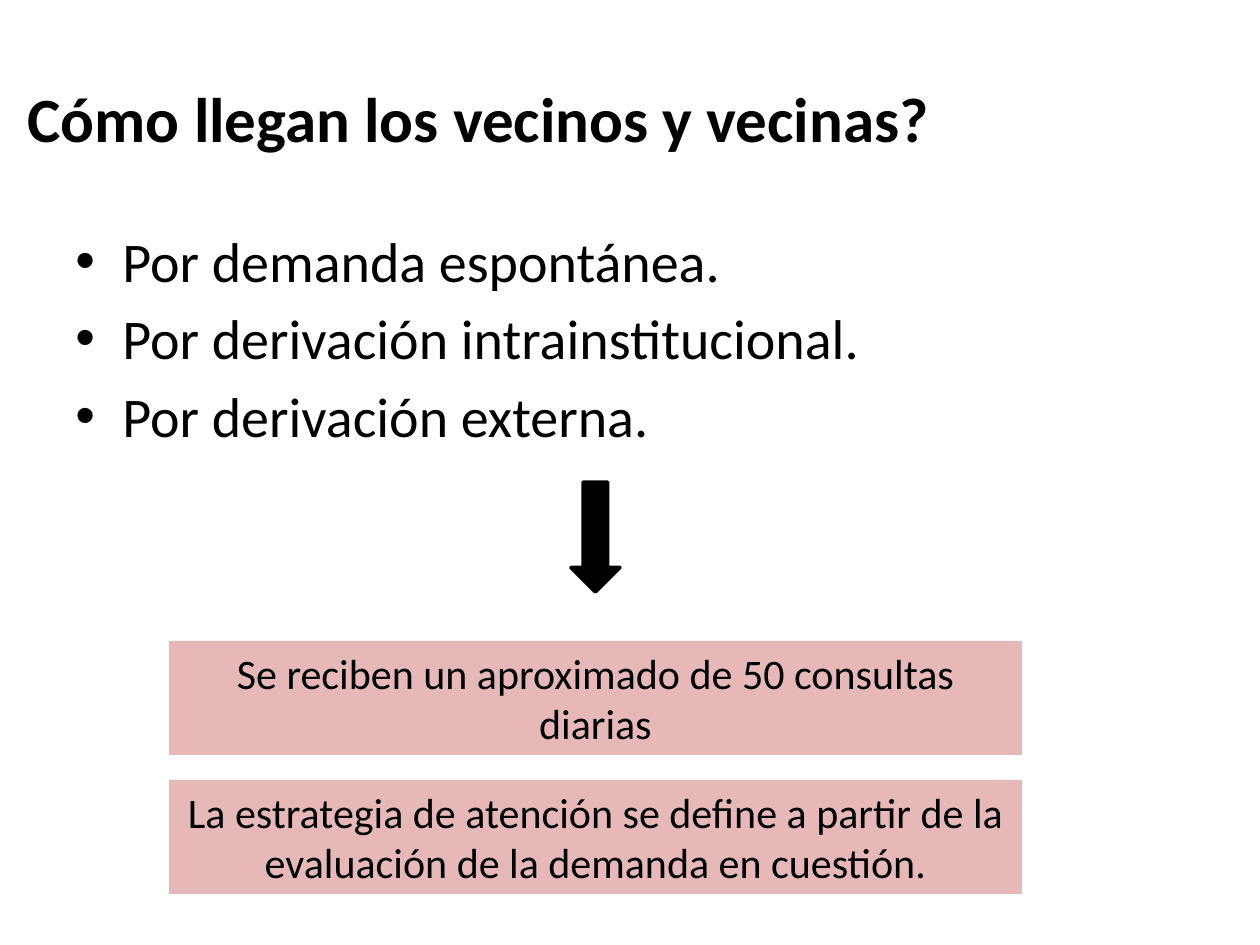
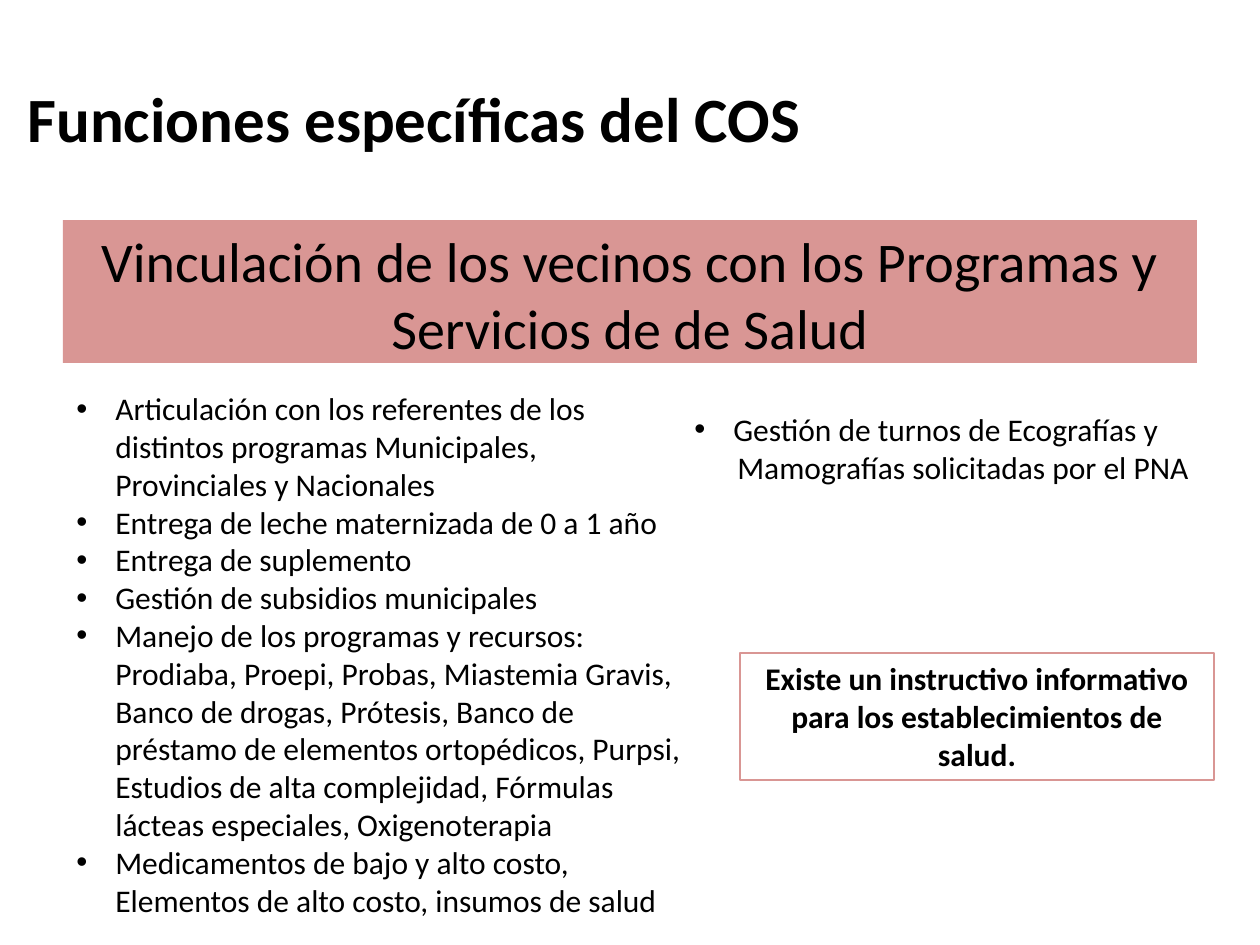
import pptx
import pptx.dml.color
import pptx.enum.shapes
import pptx.enum.text
import pptx.oxml.ns
import pptx.util
from lxml import etree

PX = pptx.util.Inches(1) / 126
BLACK = pptx.dml.color.RGBColor(0x00, 0x00, 0x00)
LIGHT_ROSE = pptx.dml.color.RGBColor(0xE6, 0xB9, 0xB8)
ROSE = pptx.dml.color.RGBColor(0xD9, 0x96, 0x94)

LEFT = pptx.enum.text.PP_ALIGN.LEFT
CENTER = pptx.enum.text.PP_ALIGN.CENTER
TOP = pptx.enum.text.MSO_ANCHOR.TOP
MIDDLE = pptx.enum.text.MSO_ANCHOR.MIDDLE
SHAPES = pptx.enum.shapes.MSO_SHAPE

TITLE_AREA = (15, 38, 1134, 158)
BODY_LEFT, BODY_TOP, BODY_WIDTH = 63, 220, 1134

WAYS_IN = [
    "Por demanda espontánea.",
    "Por derivación intrainstitucional.",
    "Por derivación externa.",
]
KEY_FACTS = [
    "Se reciben un aproximado de 50 consultas diarias",
    "La estrategia de atención se define a partir de la evaluación de la demanda en cuestión.",
]
SERVICES = [
    "Articulación con los referentes de los distintos programas Municipales, "
    "Provinciales y Nacionales",
    "Entrega de leche maternizada de 0 a 1 año",
    "Entrega de suplemento",
    "Gestión de subsidios municipales",
    "Manejo de los programas y recursos: Prodiaba, Proepi, Probas, Miastemia Gravis, "
    "Banco de drogas, Prótesis, Banco de préstamo de elementos ortopédicos, Purpsi, "
    "Estudios de alta complejidad, Fórmulas lácteas especiales, Oxigenoterapia",
    "Medicamentos de bajo y alto costo, Elementos de alto costo, insumos de salud",
]


def emu(*lengths):
    """Turn px lengths into EMU."""
    return [round(length * PX) for length in lengths]


def apply_format(target, values):
    """Set each attribute of the target from a dict."""
    for name, value in values.items():
        setattr(target, name, value)


def format_paragraph(paragraph, text, size, bold=False, alignment=LEFT):
    """Write one paragraph in the shared font."""
    paragraph.text = text
    paragraph.alignment = alignment
    apply_format(paragraph.font, {
        "name": "Calibri", "size": pptx.util.Pt(size), "bold": bold})
    paragraph.font.color.rgb = BLACK


def indent_paragraph(paragraph, margin, bullet=True):
    """Indent a paragraph, hanging a bullet in the margin if wanted."""
    (margin_emu,) = emu(margin)
    properties = paragraph._p.get_or_add_pPr()
    properties.set("marL", str(margin_emu))
    properties.set("indent", str(-margin_emu if bullet else 0))
    if bullet:
        font = etree.SubElement(properties, pptx.oxml.ns.qn("a:buFont"))
        font.set("typeface", "Arial")
        mark = etree.SubElement(properties, pptx.oxml.ns.qn("a:buChar"))
        mark.set("char", "•")


def add_titled_slide(presentation, title):
    """Add a title-only slide with the shared title style."""
    slide = presentation.slides.add_slide(presentation.slide_layouts[5])
    shape = slide.shapes.title
    left, top, width, height = emu(*TITLE_AREA)
    apply_format(shape, {"left": left, "top": top, "width": width, "height": height})
    apply_format(shape.text_frame, {"vertical_anchor": MIDDLE, "word_wrap": True})
    format_paragraph(shape.text_frame.paragraphs[0], title, 36, bold=True)
    return slide


def add_bullets(slide, area, items, size, margin, gap=0):
    """Add a bulleted text box and return its text frame."""
    frame = slide.shapes.add_textbox(*emu(*area)).text_frame
    frame.word_wrap = True
    for index, item in enumerate(items):
        paragraph = frame.add_paragraph() if index else frame.paragraphs[0]
        indent_paragraph(paragraph, margin)
        format_paragraph(paragraph, item, size)
        if index and gap:
            paragraph.space_before = pptx.util.Pt(gap)
    return frame


def add_preset(slide, kind, area, fill=None, line=None, line_width=0.75):
    """Add a flat preset shape with optional fill and outline."""
    shape = slide.shapes.add_shape(kind, *emu(*area))
    shape.shadow.inherit = False
    for part, color in ((shape.fill, fill), (shape.line.fill, line)):
        if color is None:
            part.background()
        else:
            part.solid()
            part.fore_color.rgb = color
    if line is not None:
        shape.line.width = pptx.util.Pt(line_width)
    return shape


def add_box(slide, area, text, size, bold=False, **colors):
    """Add a rectangle with centred text."""
    frame = add_preset(slide, SHAPES.RECTANGLE, area, **colors).text_frame
    apply_format(frame, {"vertical_anchor": TOP, "word_wrap": True})
    format_paragraph(frame.paragraphs[0], text, size, bold, CENTER)


def build_arrival_slide(presentation):
    """Show how residents arrive and what follows."""
    slide = add_titled_slide(presentation, "Cómo llegan los vecinos y vecinas?")
    add_bullets(slide, (BODY_LEFT, BODY_TOP, BODY_WIDTH, 291), WAYS_IN, 32, 47, gap=6)
    add_preset(slide, SHAPES.DOWN_ARROW, (571, 482, 49, 110),
               fill=BLACK, line=BLACK, line_width=2)
    for index, fact in enumerate(KEY_FACTS):
        add_box(slide, (169, 641 + 139 * index, 853, 114), fact, 24, fill=LIGHT_ROSE)


def build_functions_slide(presentation):
    """Show the specific functions of the centre."""
    slide = add_titled_slide(presentation, "Funciones específicas del COS")
    add_box(slide, (BODY_LEFT, BODY_TOP, BODY_WIDTH, 143),
            "Vinculación de los vecinos con los Programas y Servicios de de Salud",
            32, fill=ROSE)
    add_bullets(slide, (64, 383, 630, 547), SERVICES, 18, 39)
    add_box(slide, (740, 653, 474, 127),
            "Existe un instructivo informativo para los establecimientos de salud.",
            18, bold=True, line=ROSE)
    frame = add_bullets(slide, (682, 404, 570, 90),
                        ["Gestión de turnos de Ecografías y"], 18, 39)
    continuation = frame.add_paragraph()
    indent_paragraph(continuation, 43, bullet=False)
    format_paragraph(continuation, "Mamografías solicitadas por el PNA", 18)


def main():
    """Build and save the presentation."""
    presentation = pptx.Presentation()
    width, height = emu(1260, 945)
    apply_format(presentation, {"slide_width": width, "slide_height": height})
    build_arrival_slide(presentation)
    build_functions_slide(presentation)
    presentation.save("out.pptx")


if __name__ == "__main__":
    main()
